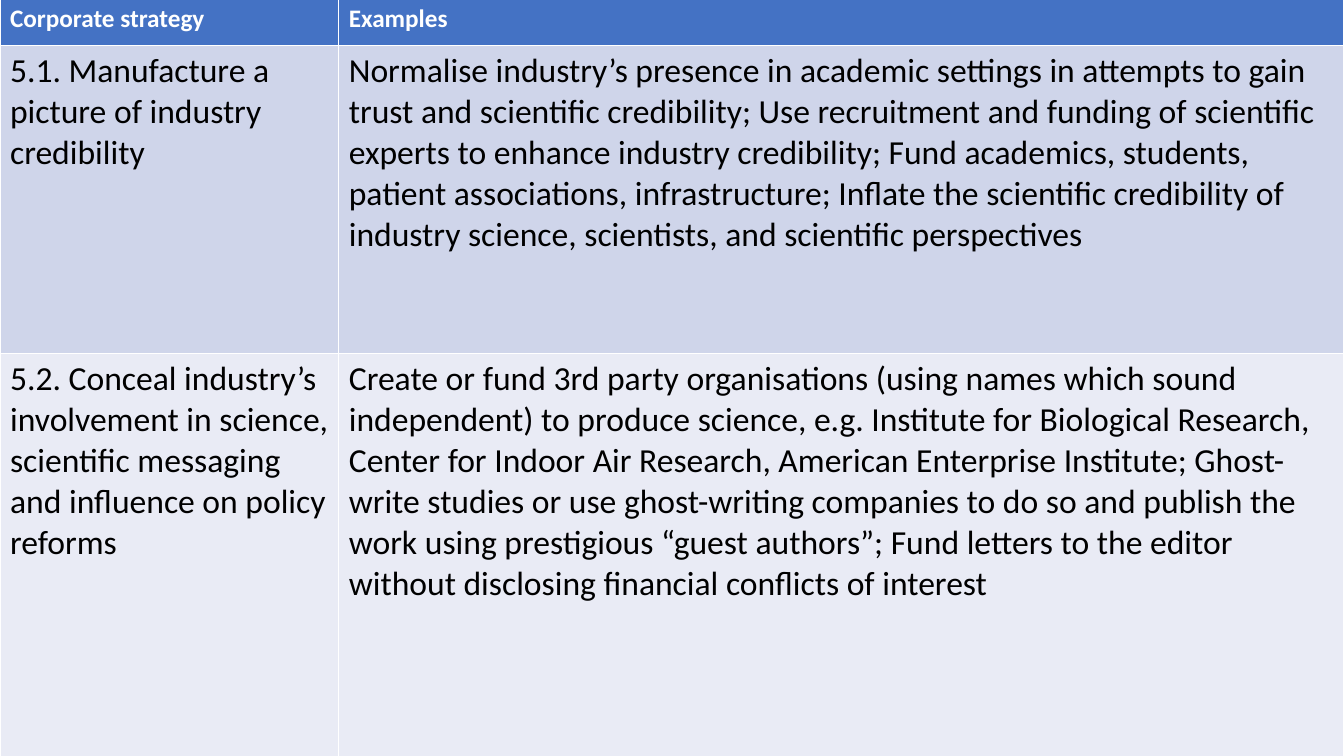
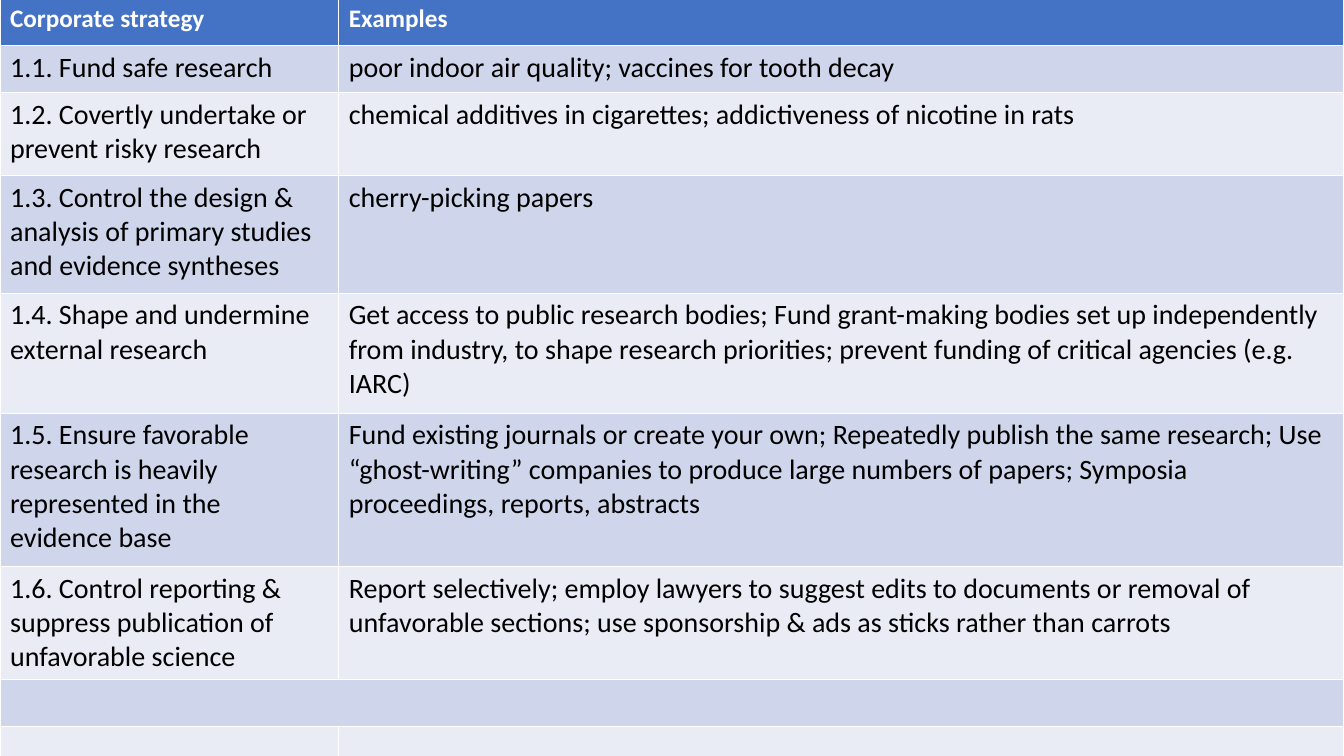
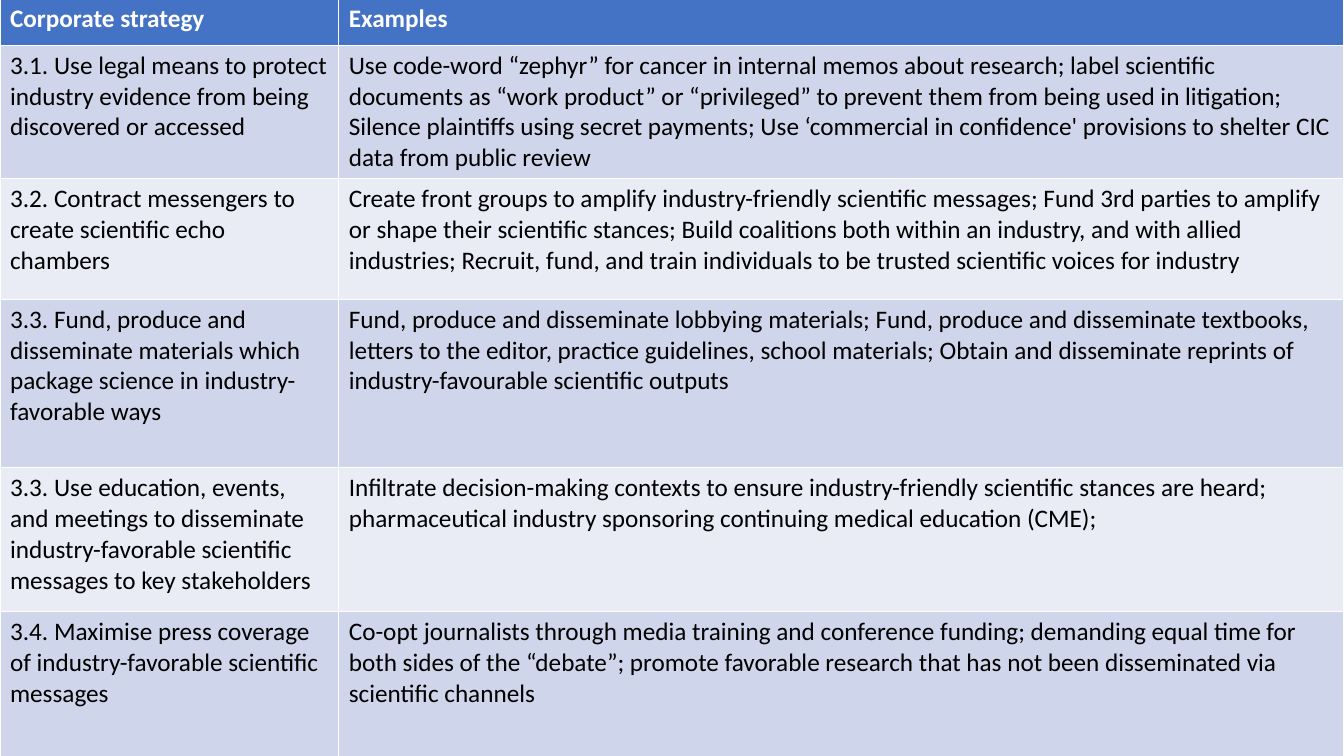
import pptx
import pptx.util
import pptx.dml.color
from pptx.util import Inches, Pt
from pptx.dml.color import RGBColor

# Shared look
HEADER_BLUE = RGBColor(0x44, 0x72, 0xC4)
BAND_DARK = RGBColor(0xCF, 0xD5, 0xEA)
BAND_LIGHT = RGBColor(0xE9, 0xEB, 0xF5)
WHITE = RGBColor(0xFF, 0xFF, 0xFF)
BLACK = RGBColor(0x00, 0x00, 0x00)
FONT = "Calibri"
HEADER_SIZE = 18

# Grid, in inches
SLIDE_WIDTH, SLIDE_HEIGHT = 13.33, 7.5
STRATEGY_WIDTH = 3.36
TABLE_TOP = -0.02
ROW_HEIGHT = 0.47
HEADINGS = ("Corporate strategy", "Examples")

# Rows of each slide: height, strategy, examples
CREDIBILITY = [
    (3.06, "5.1. Manufacture a picture of industry credibility",
     "Normalise industry’s presence in academic settings in attempts to gain trust and "
     "scientific credibility; Use recruitment and funding of scientific experts to enhance "
     "industry credibility; Fund academics, students, patient associations, infrastructure; "
     "Inflate the scientific credibility of industry science, scientists, and scientific "
     "perspectives"),
    (5.02, "5.2. Conceal industry’s involvement in science, scientific messaging and "
     "influence on policy reforms",
     "Create or fund 3rd party organisations (using names which sound independent) to "
     "produce science, e.g. Institute for Biological Research, Center for Indoor Air "
     "Research, American Enterprise Institute; Ghost-write studies or use ghost-writing "
     "companies to do so and publish the work using prestigious “guest authors”; Fund "
     "letters to the editor without disclosing financial conflicts of interest"),
]
RESEARCH = [
    (0.47, "1.1. Fund safe research", "poor indoor air quality; vaccines for tooth decay"),
    (0.82, "1.2. Covertly undertake or prevent risky research",
     "chemical additives in cigarettes; addictiveness of nicotine in rats"),
    (1.17, "1.3. Control the design & analysis of primary studies and evidence syntheses",
     "cherry-picking papers"),
    (1.19, "1.4. Shape and undermine external research",
     "Get access to public research bodies; Fund grant-making bodies set up independently "
     "from industry, to shape research priorities; prevent funding of critical agencies "
     "(e.g. IARC)"),
    (1.52, "1.5. Ensure favorable research is heavily represented in the evidence base",
     "Fund existing journals or create your own; Repeatedly publish the same research; Use "
     "“ghost-writing” companies to produce large numbers of papers; Symposia proceedings, "
     "reports, abstracts"),
    (1.12, "1.6. Control reporting & suppress publication of unfavorable science",
     "Report selectively; employ lawyers to suggest edits to documents or removal of "
     "unfavorable sections; use sponsorship & ads as sticks rather than carrots"),
]
MESSAGING = [
    (1.32, "3.1. Use legal means to protect industry evidence from being discovered or accessed",
     "Use code-word “zephyr” for cancer in internal memos about research; label scientific "
     "documents as “work product” or “privileged” to prevent them from being used in "
     "litigation; Silence plaintiffs using secret payments; Use ‘commercial in confidence' "
     "provisions to shelter CIC data from public review"),
    (1.2, "3.2. Contract messengers to create scientific echo chambers",
     "Create front groups to amplify industry-friendly scientific messages; Fund 3rd "
     "parties to amplify or shape their scientific stances; Build coalitions both within an "
     "industry, and with allied industries; Recruit, fund, and train individuals to be "
     "trusted scientific voices for industry"),
    (1.67, "3.3. Fund, produce and disseminate materials which package science in "
     "industry-favorable ways",
     "Fund, produce and disseminate lobbying materials; Fund, produce and disseminate "
     "textbooks, letters to the editor, practice guidelines, school materials; Obtain and "
     "disseminate reprints of industry-favourable scientific outputs"),
    (1.43, "3.3. Use education, events, and meetings to disseminate industry-favorable "
     "scientific messages to key stakeholders",
     "Infiltrate decision-making contexts to ensure industry-friendly scientific stances "
     "are heard; pharmaceutical industry sponsoring continuing medical education (CME);"),
    (2.11, "3.4. Maximise press coverage of industry-favorable scientific messages",
     "Co-opt journalists through media training and conference funding; demanding equal "
     "time for both sides of the “debate”; promote favorable research that has not been "
     "disseminated via scientific channels"),
]

# Body text size, filled rows, heights of the empty rows after them
SLIDES = [
    (24, CREDIBILITY, (1.17, 1.52, 1.52, 1.17)),
    (20, RESEARCH, ()),
    (18, MESSAGING, (1.17,)),
]


def fill_cell(cell, text, size, color, fill, bold=False):
    cell.fill.solid()
    cell.fill.fore_color.rgb = fill
    if text:
        run = cell.text_frame.paragraphs[0].add_run()
        run.text = text
        run.font.name = FONT
        run.font.size = Pt(size)
        run.font.bold = bold
        run.font.color.rgb = color


def add_strategy_table(slide, body_size, strategies, empty_heights):
    # Every table closes with two empty rows, the first merged across
    closing = (*empty_heights, ROW_HEIGHT, ROW_HEIGHT)
    rows = [(ROW_HEIGHT, *HEADINGS), *strategies, *((height, "", "") for height in closing)]
    total_height = sum(height for height, *_ in rows)
    table = slide.shapes.add_table(
        len(rows), len(HEADINGS), 0, Inches(TABLE_TOP),
        Inches(SLIDE_WIDTH), Inches(total_height)).table
    table.columns[0].width = Inches(STRATEGY_WIDTH)
    table.columns[1].width = Inches(SLIDE_WIDTH - STRATEGY_WIDTH)

    for index, (height, *texts) in enumerate(rows):
        table.rows[index].height = Inches(height)
        for column, text in enumerate(texts):
            cell = table.cell(index, column)
            if index == 0:
                fill_cell(cell, text, HEADER_SIZE, WHITE, HEADER_BLUE, bold=True)
            else:
                band = BAND_DARK if index % 2 else BAND_LIGHT
                fill_cell(cell, text, body_size, BLACK, band)

    merged_row = len(rows) - 2
    table.cell(merged_row, 0).merge(table.cell(merged_row, 1))


def main():
    deck = pptx.Presentation()
    deck.slide_width = Inches(SLIDE_WIDTH)
    deck.slide_height = Inches(SLIDE_HEIGHT)
    blank_layout = deck.slide_layouts[6]
    for body_size, strategies, empty_heights in SLIDES:
        slide = deck.slides.add_slide(blank_layout)
        add_strategy_table(slide, body_size, strategies, empty_heights)
    deck.save("out.pptx")


if __name__ == "__main__":
    main()
